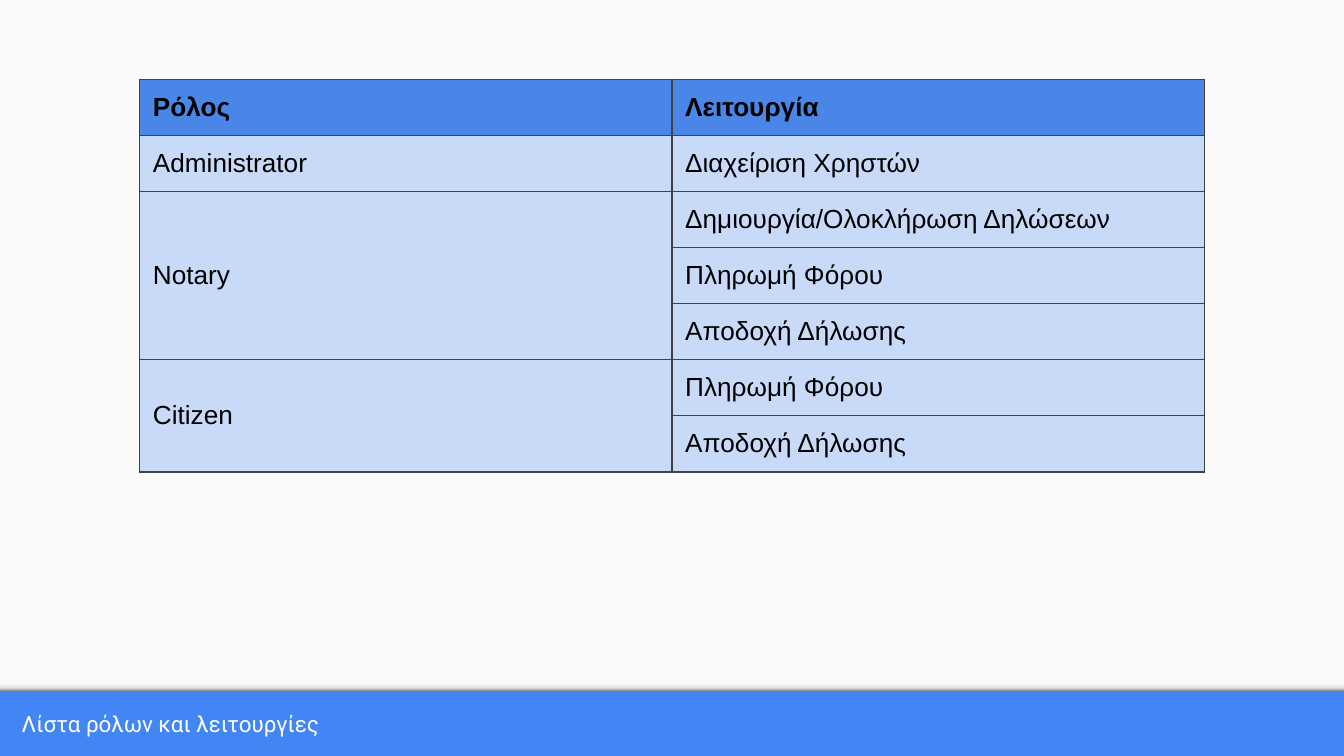
import copy

import pptx
import pptx.dml.color
import pptx.enum.shapes
import pptx.enum.text
import pptx.oxml
import pptx.oxml.ns
import pptx.util

Cm = pptx.util.Cm
Pt = pptx.util.Pt
MIDDLE = pptx.enum.text.MSO_ANCHOR.MIDDLE
RECT = pptx.enum.shapes.MSO_SHAPE.RECTANGLE
COLORS = {
    "blue": "4285F4", "page": "FAFAFA", "white": "FFFFFF", "black": "000000",
    "head": "4A86E8", "body": "C9DAF8", "border": "424242",
}
SHADE = [(0, "F9F9F9"), (0.36, "F9F9F9"), (0.8, "DEDEDE"), (1, "999999")]
ROWS = [
    ("Ρόλος", "Λειτουργία"),
    ("Administrator", "Διαχείριση Χρηστών"),
    ("Notary", "Δημιουργία/Ολοκλήρωση Δηλώσεων"),
    ("", "Πληρωμή Φόρου"),
    ("", "Αποδοχή Δήλωσης"),
    ("Citizen", "Πληρωμή Φόρου"),
    ("", "Αποδοχή Δήλωσης"),
]
SPANS = [(2, 4), (5, 6)]


def paint(fill, name):
    fill.solid()
    fill.fore_color.rgb = pptx.dml.color.RGBColor.from_string(COLORS[name])


def style(para, face, size, color, bold=False):
    for run in para.runs:
        run.font.name = face
        run.font.size = Pt(size)
        run.font.bold = bold
        paint(run.font.fill, color)


deck = pptx.Presentation()
deck.slide_width = Cm(25.4)
deck.slide_height = Cm(14.29)
slide = deck.slides.add_slide(deck.slide_layouts[5])
paint(slide.background.fill, "blue")

# Page area and the shade along its lower edge
page = slide.shapes.add_shape(RECT, 0, 0, Cm(25.4), Cm(13.05))
paint(page.fill, "page")
edge = slide.shapes.add_shape(RECT, 0, Cm(12.85), Cm(25.4), Cm(0.2))
edge.fill.gradient()
edge.fill.gradient_angle = 270
stops = edge.fill.gradient_stops
first = stops[0]._gs
stop_list = first.getparent()
for _ in range(len(SHADE) - len(stops)):
    stop_list.append(copy.deepcopy(first))
for stop, (place, color) in zip(edge.fill.gradient_stops, SHADE):
    stop.position = place
    stop.color.rgb = pptx.dml.color.RGBColor.from_string(color)
for shape in (page, edge):
    shape.shadow.inherit = False
    shape.line.fill.background()

# Caption in the blue bar
title = slide.shapes.title
title.left, title.top = Cm(0.16), Cm(13.05)
title.width, title.height = Cm(23.3), Cm(1.24)
frame = title.text_frame
frame.text = "Λίστα ρόλων και λειτουργίες"
frame.auto_size = pptx.enum.text.MSO_AUTO_SIZE.NONE
frame.vertical_anchor = MIDDLE
frame.margin_left = frame.margin_right = Cm(0.25)
frame.margin_top = frame.margin_bottom = Cm(0.25)
frame.paragraphs[0].alignment = pptx.enum.text.PP_ALIGN.LEFT
style(frame.paragraphs[0], "Roboto", 12, "white")

# Roles and their functions
table = slide.shapes.add_table(
    len(ROWS), 2, Cm(2.64), Cm(1.5), Cm(20.12), Cm(1.06 * len(ROWS))
).table
table.horz_banding = False
for row, texts in enumerate(ROWS):
    table.rows[row].height = Cm(1.06)
    for col, text in enumerate(texts):
        cell = table.cell(row, col)
        cell.text_frame.text = text
        cell.margin_left = cell.margin_right = Cm(0.25)
        cell.margin_top = cell.margin_bottom = Cm(0.25)
        style(cell.text_frame.paragraphs[0], "Arial", 14, "black", row == 0)
        paint(cell.fill, "body" if row else "head")
        props = cell._tc.get_or_add_tcPr()
        for place, side in enumerate(("lnL", "lnR", "lnT", "lnB")):
            props.insert(place, pptx.oxml.parse_xml(
                f'<a:{side} {pptx.oxml.ns.nsdecls("a")} w="{Pt(0.75)}"><a:solidFill>'
                f'<a:srgbClr val="{COLORS["border"]}"/></a:solidFill></a:{side}>'))
for start, end in SPANS:
    table.cell(start, 0).merge(table.cell(end, 0))
    table.cell(start, 0).vertical_anchor = MIDDLE

deck.save("out.pptx")
